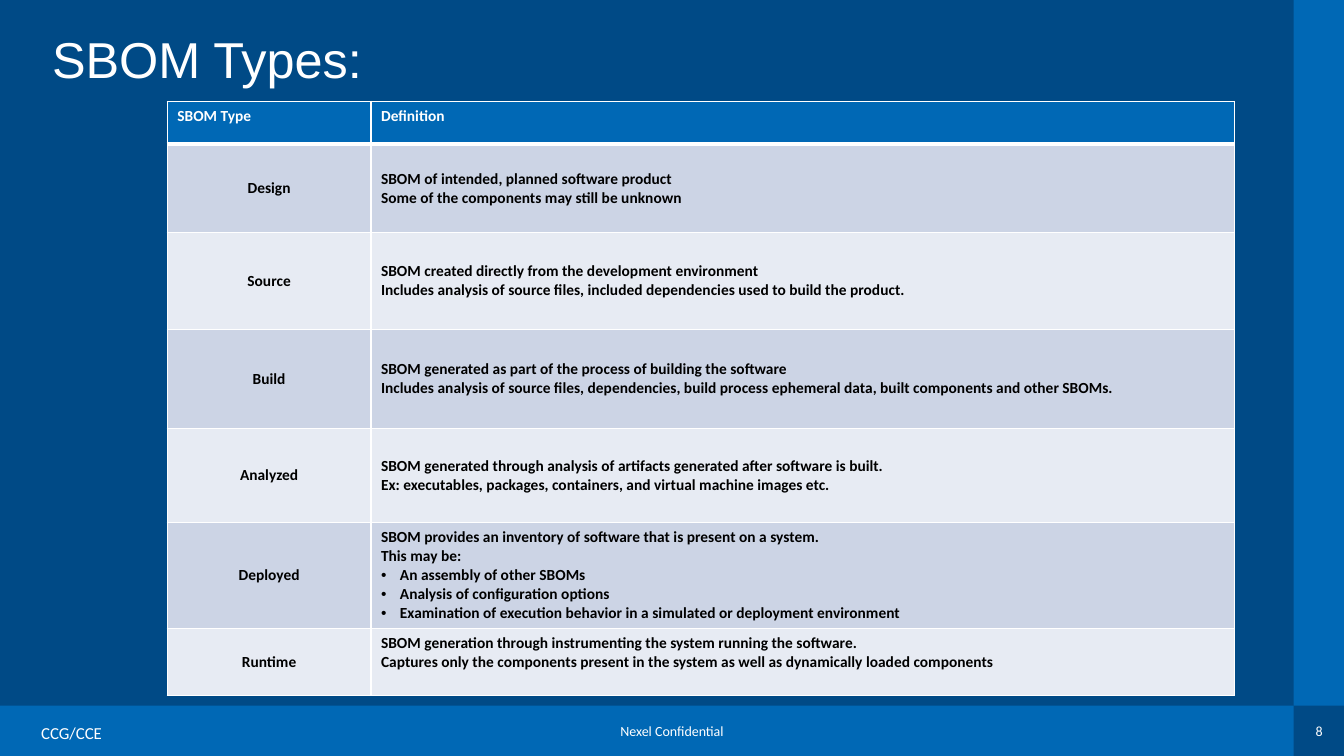
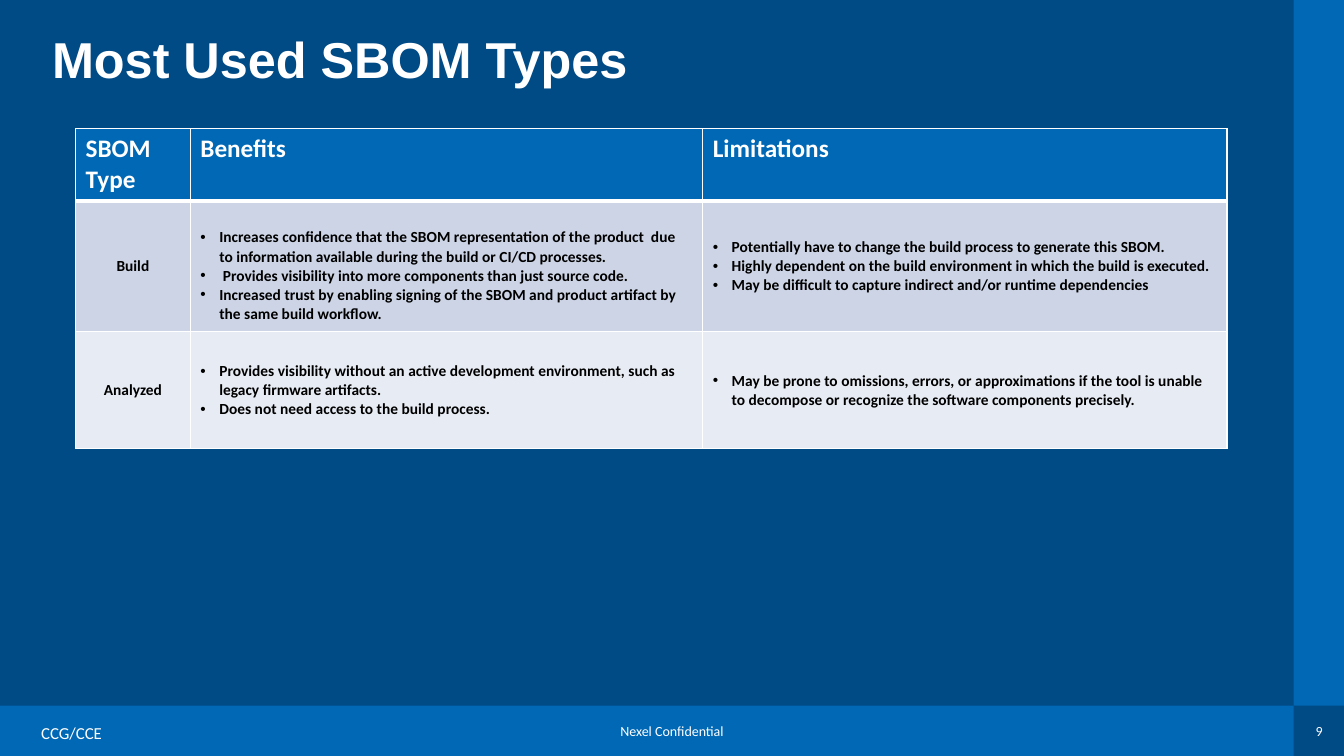
from lxml import etree
from pptx import Presentation
from pptx.dml.color import RGBColor
from pptx.enum import shapes, text
from pptx.oxml import ns
from pptx.util import Pt

NAVY, BLUE, WHITE, BLACK = "004A86", "0068B5", "FFFFFF", "000000"
BANDS = ["E7EBF3", "CCD4E5"]
WIDTH, HEIGHT, BAND = 960, 540, 36
BULLET = "• "
INDENT = 13.5
MARGIN = 3.6

SLIDES = [
    dict(
        number=8, title="SBOM Types:", bold=False, at=(119.5, 72.5), header_size=11,
        cols=[145.5, 617], heights=[30.5, 63, 69.5, 70.5, 67, 76, 48],
        top_cells=[(6, 1)], top_margins={},
        rows=[
            ["SBOM Type", "Definition"],
            ["Design", ["SBOM of intended, planned software product",
                        "Some of the components may still be unknown"]],
            ["Source", ["SBOM created directly from the development environment",
                        "Includes analysis of source files, included dependencies used to build the product."]],
            ["Build", ["SBOM generated as part of the process of building the software",
                       "Includes analysis of source files, dependencies, build process ephemeral data, "
                       "built components and other SBOMs."]],
            ["Analyzed", ["SBOM generated through analysis of artifacts generated after software is built.",
                          "Ex: executables, packages, containers, and virtual machine images etc."]],
            ["Deployed", ["SBOM provides an inventory of software that is present on a system.",
                          "This may be:",
                          "• An assembly of other SBOMs",
                          "• Analysis of configuration options",
                          "• Examination of execution behavior in a simulated or deployment environment"]],
            ["Runtime", ["SBOM generation through instrumenting the system running the software.",
                         "Captures only the components present in the system as well as "
                         "dynamically loaded components"]],
        ],
    ),
    dict(
        number=9, title="Most Used SBOM Types", bold=True, at=(54, 92), header_size=18,
        cols=[82, 366, 374.5], heights=[51.5, 93.5, 83.5],
        top_cells=[], top_margins={(1, 1): 17},
        rows=[
            ["SBOM Type", "Benefits", "Limitations"],
            ["Build",
             ["• Increases confidence that the SBOM representation of the product  due to information "
              "available during the build or CI/CD processes.",
              "•  Provides visibility into more components than just source code.",
              "• Increased trust by enabling signing of the SBOM and product artifact by the same "
              "build workflow."],
             ["• Potentially have to change the build process to generate this SBOM.",
              "• Highly dependent on the build environment in which the build is executed.",
              "• May be difficult to capture indirect and/or runtime dependencies"]],
            ["Analyzed",
             ["• Provides visibility without an active development environment, such as legacy "
              "firmware artifacts.",
              "• Does not need access to the build process."],
             ["• May be prone to omissions, errors, or approximations if the tool is unable to "
              "decompose or recognize the software components precisely."]],
        ],
    ),
]


def rgb(color):
    return RGBColor.from_string(color)


def style(p, size, color, bold=False, name="Calibri"):
    for r in p.runs:
        r.font.size, r.font.bold, r.font.name = Pt(size), bold, name
        r.font.color.rgb = rgb(color)


def add_band(s, left, top, width, height):
    sp = s.shapes.add_shape(shapes.MSO_SHAPE.RECTANGLE, Pt(left), Pt(top), Pt(width), Pt(height))
    sp.shadow.inherit = False
    sp.fill.solid()
    sp.fill.fore_color.rgb = rgb(BLUE)
    sp.line.fill.background()


def add_label(s, words, left, top, width, height, size, align):
    tf = s.shapes.add_textbox(Pt(left), Pt(top), Pt(width), Pt(height)).text_frame
    tf.word_wrap = False
    tf.vertical_anchor = text.MSO_ANCHOR.MIDDLE
    tf.text = words
    p = tf.paragraphs[0]
    p.alignment = align
    style(p, size, WHITE)


def add_frame(s, number):
    s.background.fill.solid()
    s.background.fill.fore_color.rgb = rgb(NAVY)
    add_band(s, 0, HEIGHT - BAND, WIDTH - BAND, BAND)
    add_band(s, WIDTH - BAND, 0, BAND, HEIGHT - BAND)
    add_label(s, "Nexel Confidential", 432, 512.5, 96, 19.5, 10, text.PP_ALIGN.CENTER)
    add_label(s, "CCG/CCE", 22.3, 513, 75, 21.5, 12, text.PP_ALIGN.LEFT)
    add_label(s, str(number), 928.5, 512.5, 27.5, 19.5, 10, text.PP_ALIGN.CENTER)


def set_title(s, words, bold):
    title = s.shapes.title
    title.left, title.top, title.width, title.height = Pt(30), Pt(21.5), Pt(864), Pt(43)
    tf = title.text_frame
    tf.text = words
    tf.auto_size = text.MSO_AUTO_SIZE.NONE
    tf.vertical_anchor = text.MSO_ANCHOR.TOP
    p = tf.paragraphs[0]
    p.alignment = text.PP_ALIGN.LEFT
    p.line_spacing = 0.9
    style(p, 36, WHITE, bold, "Arial")


def set_borders(cell, row):
    widths = {"lnL": 1, "lnR": 1, "lnT": 3 if row == 1 else 1, "lnB": 3 if row == 0 else 1}
    tcPr = cell._tc.get_or_add_tcPr()
    for i, (side, width) in enumerate(widths.items()):
        ln = etree.Element(ns.qn("a:" + side), w=str(Pt(width)))
        fill = etree.SubElement(ln, ns.qn("a:solidFill"))
        etree.SubElement(fill, ns.qn("a:srgbClr"), val=WHITE)
        tcPr.insert(i, ln)


def add_bullet(p):
    pPr = p._p.get_or_add_pPr()
    pPr.set("marL", str(Pt(INDENT)))
    pPr.set("indent", str(Pt(-INDENT)))
    etree.SubElement(pPr, ns.qn("a:buFont"), typeface="Arial")
    etree.SubElement(pPr, ns.qn("a:buChar"), char=BULLET.strip())


def fill_cell(cell, row, col, content, spec):
    header = row == 0
    cell.fill.solid()
    cell.fill.fore_color.rgb = rgb(BLUE if header else BANDS[row % 2])
    set_borders(cell, row)
    at_top = header or (row, col) in spec["top_cells"]
    cell.vertical_anchor = text.MSO_ANCHOR.TOP if at_top else text.MSO_ANCHOR.MIDDLE
    cell.margin_top = Pt(spec["top_margins"].get((row, col), MARGIN))
    lines = [content] if isinstance(content, str) else content
    cell.text_frame.text = "\n".join(line.removeprefix(BULLET) for line in lines)
    for p, line in zip(cell.text_frame.paragraphs, lines):
        if line.startswith(BULLET):
            add_bullet(p)
        centred = col == 0 and not header
        p.alignment = text.PP_ALIGN.CENTER if centred else text.PP_ALIGN.LEFT
        style(p, spec["header_size"] if header else 11, WHITE if header else BLACK, True)


def add_types_table(s, spec):
    cols, heights = spec["cols"], spec["heights"]
    left, top = spec["at"]
    table = s.shapes.add_table(len(heights), len(cols), Pt(left), Pt(top),
                               Pt(sum(cols)), Pt(sum(heights))).table
    for column, width in zip(table.columns, cols):
        column.width = Pt(width)
    for row, height in zip(table.rows, heights):
        row.height = Pt(height)
    for i, row in enumerate(spec["rows"]):
        for j, content in enumerate(row):
            fill_cell(table.cell(i, j), i, j, content, spec)


def main():
    prs = Presentation()
    prs.slide_width, prs.slide_height = Pt(WIDTH), Pt(HEIGHT)
    for spec in SLIDES:
        s = prs.slides.add_slide(prs.slide_layouts[5])
        add_frame(s, spec["number"])
        set_title(s, spec["title"], spec["bold"])
        add_types_table(s, spec)
    prs.save("out.pptx")


if __name__ == "__main__":
    main()
